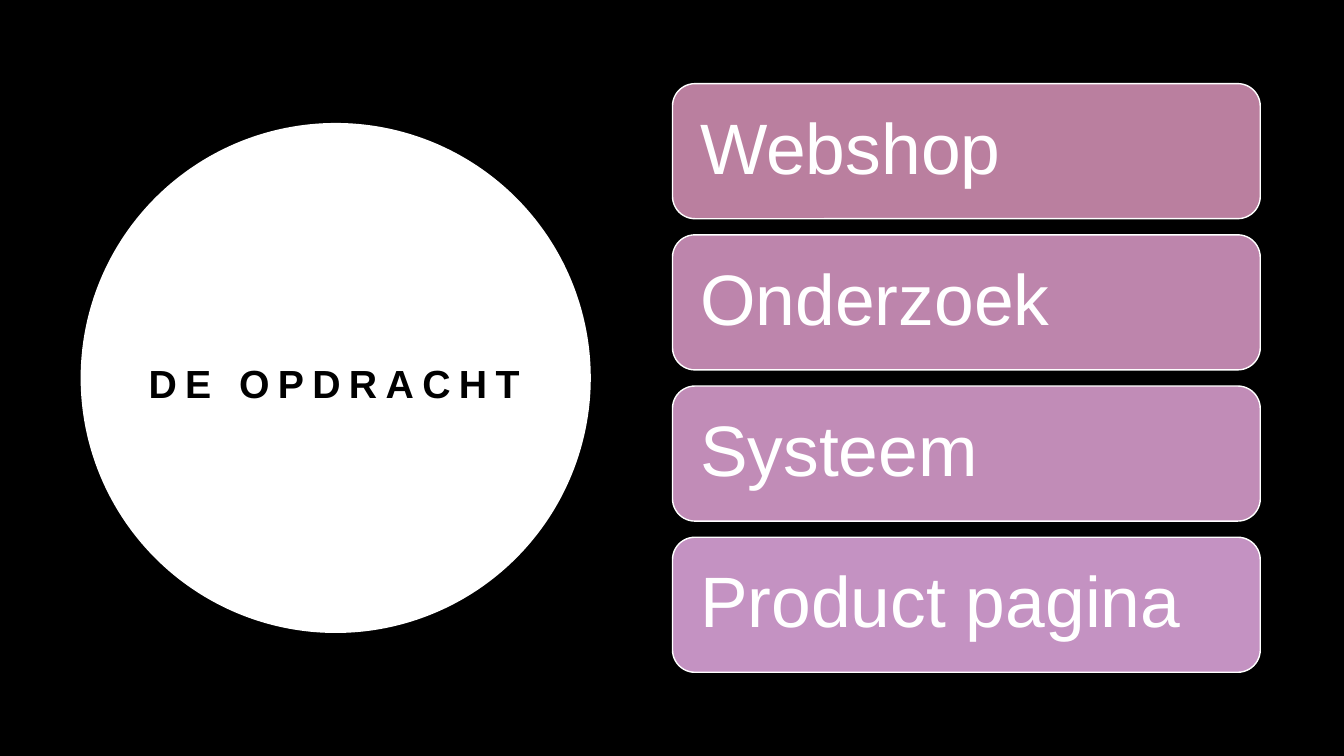
from pptx import Presentation
from pptx.dml.color import RGBColor
from pptx.enum.shapes import MSO_SHAPE as Shape
from pptx.enum.text import MSO_ANCHOR as Anchor, PP_ALIGN as Align
from pptx.util import Inches, Pt

# Content
TITLE = "DE OPDRACHT"
TOPICS = [
    ("Webshop", "BA7F9F"),
    ("Onderzoek", "BD85AC"),
    ("Systeem", "C18CB7"),
    ("Product pagina", "C492C2"),
]

THEME = {
    "font": "Arial",
    "dark": "000000",
    "light": "FFFFFF",
    "title_size": 28,
    "topic_size": 51,
}

# Layout in inches
CIRCLE = (0.8, 1.22, 5.06, 5.06)
TITLE_BOX = (1.32, 2.5, 3.99, 2.5)
CARD_LEFT, CARD_TOP, CARD_WIDTH, CARD_HEIGHT = 6.67, 0.83, 5.83, 1.34
CARD_STEP = 1.5
CARD_INSET = 0.21


def color(code):
    return RGBColor.from_string(code)


def add_panel(page, kind, bounds, fill, line=None):
    panel = page.shapes.add_shape(kind, *map(Inches, bounds))
    panel.shadow.inherit = False
    panel.fill.solid()
    panel.fill.fore_color.rgb = color(fill)
    if line:
        panel.line.color.rgb = color(line)
        panel.line.width = Pt(1)
    else:
        panel.line.fill.background()
    return panel


def write(box, text, *, size, ink, align=Align.LEFT, bold=False,
          line_spacing=1.0, tracking=0, inset=0.1):
    frame = box.text_frame
    frame.word_wrap = True
    frame.vertical_anchor = Anchor.MIDDLE
    frame.margin_left = frame.margin_right = Inches(inset)
    frame.margin_top = frame.margin_bottom = Inches(inset)
    para = frame.paragraphs[0]
    para.alignment = align
    para.line_spacing = line_spacing
    span = para.add_run()
    span.text = text
    span.font.name = THEME["font"]
    span.font.size = Pt(size)
    span.font.bold = bold
    span.font.color.rgb = color(ink)
    if tracking:
        span.font._element.set("spc", str(tracking * 100))


def main():
    deck = Presentation()
    deck.slide_width, deck.slide_height = Inches(13.33), Inches(7.5)
    page = deck.slides.add_slide(deck.slide_layouts[6])
    page.background.fill.solid()
    page.background.fill.fore_color.rgb = color(THEME["dark"])

    # Title circle
    add_panel(page, Shape.OVAL, CIRCLE, THEME["light"])
    title_box = page.shapes.add_textbox(*map(Inches, TITLE_BOX))
    write(title_box, TITLE, size=THEME["title_size"], ink=THEME["dark"],
          align=Align.CENTER, bold=True, line_spacing=1.2, tracking=6)

    # Topic cards
    for row, (topic, fill) in enumerate(TOPICS):
        bounds = (CARD_LEFT, CARD_TOP + row * CARD_STEP, CARD_WIDTH, CARD_HEIGHT)
        card = add_panel(page, Shape.ROUNDED_RECTANGLE, bounds, fill, THEME["light"])
        write(card, topic, size=THEME["topic_size"], ink=THEME["light"],
              line_spacing=0.9, inset=CARD_INSET)

    deck.save("out.pptx")


if __name__ == "__main__":
    main()
